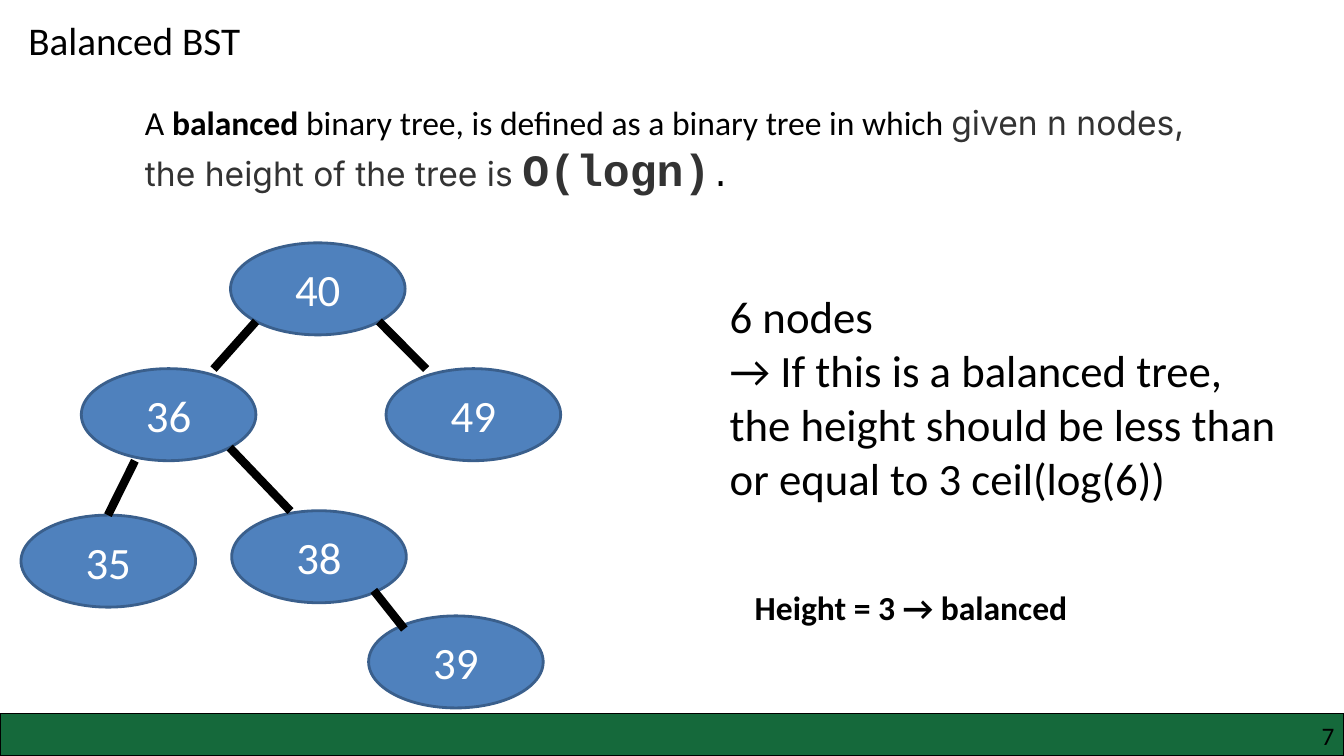
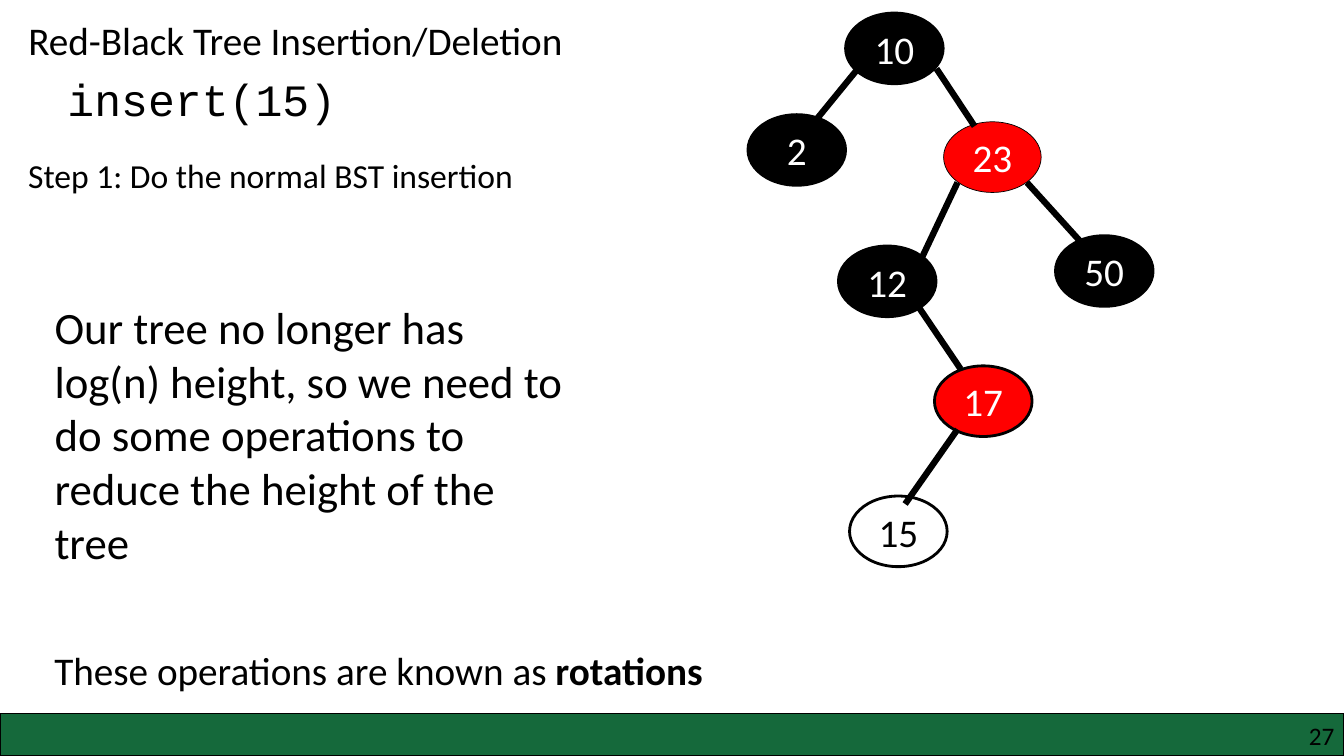
"""Build two slides on balanced and red-black search trees."""
from lxml.etree import SubElement
from pptx import Presentation
from pptx.dml.color import RGBColor
from pptx.enum.shapes import MSO_CONNECTOR as LINK, MSO_SHAPE as SHAPE
from pptx.enum.text import MSO_ANCHOR as ANCHOR, MSO_AUTO_SIZE as FIT, PP_ALIGN as ALIGN
from pptx.oxml.ns import qn
from pptx.util import Cm, Pt

BLACK = RGBColor(0, 0, 0)
WHITE = RGBColor(255, 255, 255)
RED = RGBColor(255, 0, 0)
GREEN = RGBColor(0x15, 0x69, 0x3B)
BLUE = RGBColor(0x4F, 0x81, 0xBD)
NAVY = RGBColor(0x3A, 0x5F, 0x8C)
GRAY = RGBColor(0x33, 0x33, 0x33)

WIDE, HIGH = 33.87, 19.05
BAND = 1.07
BASE = {"name": "Calibri", "size": Pt(28), "bold": False, "color": BLACK}
BIG = {"size": Pt(32)}
MID = {"size": Pt(24)}
BOLD = {"bold": True}
CODE = {"name": "Courier New", "size": Pt(32)}
SOFT = {"name": "Inter", "size": Pt(24), "color": GRAY}


def style(font, look):
    """Apply a dict of format values over the base look."""
    for key, val in {**BASE, **look}.items():
        if key == "color":
            font.color.rgb = val
        else:
            setattr(font, key, val)


def write(shape, paras, align=ALIGN.LEFT, anchor=ANCHOR.TOP):
    """Fill a shape with paragraphs, each a list of (text, look) runs."""
    frame = shape.text_frame
    frame.word_wrap = True
    frame.auto_size = FIT.NONE
    frame.vertical_anchor = anchor
    for i, runs in enumerate(paras):
        para = frame.paragraphs[0] if i == 0 else frame.add_paragraph()
        para.alignment = align
        para.space_before = Pt(0)
        for text, look in runs:
            run = para.add_run()
            run.text = text
            style(run.font, look)
    return frame


def place(shape, box):
    """Move and size a shape in centimetres."""
    for key, val in zip(("left", "top", "width", "height"), box):
        setattr(shape, key, Cm(val))


def label(slide, box, *paras, align=ALIGN.LEFT):
    """Add a text box."""
    return write(slide.shapes.add_textbox(*map(Cm, box)), paras, align)


def body(slide, box, *runs):
    """Set the body placeholder as one plain paragraph."""
    shape = slide.placeholders[1]
    place(shape, box)
    para = write(shape, [runs]).paragraphs[0]
    props = para._p.get_or_add_pPr()
    props.set("marL", "0")
    props.set("indent", "0")
    SubElement(props, qn("a:buNone"))


def form(slide, kind, box, fill, edge, width):
    """Add a filled, outlined shape without shadow."""
    shape = slide.shapes.add_shape(kind, *map(Cm, box))
    shape.shadow.inherit = False
    shape.fill.solid()
    shape.fill.fore_color.rgb = fill
    shape.line.color.rgb = edge
    shape.line.width = Pt(width)
    return shape


def page(deck, title, num):
    """Add a slide with its title, green band and number."""
    slide = deck.slides.add_slide(deck.slide_layouts[1])
    head = slide.shapes.title
    place(head, (0.46, 0.28, 16, 1.45))
    write(head, [[(title, {})]])
    form(slide, SHAPE.RECTANGLE, (0, HIGH - BAND, WIDE, BAND), GREEN, BLACK, 1)
    frame = label(slide, (25.83, 18.16, 7.8, 0.76), [(num, {"size": Pt(18)})],
                  align=ALIGN.RIGHT)
    for side in ("left", "top", "right", "bottom"):
        setattr(frame, f"margin_{side}", 0)
    return slide


def node(slide, text, spot, size, look, fill, edge=BLACK, width=2):
    """Add a tree node centred on a spot."""
    (x, y), (w, h) = spot, size
    shape = form(slide, SHAPE.OVAL, (x - w / 2, y - h / 2, w, h), fill, edge, width)
    write(shape, [[(text, look)]], ALIGN.CENTER, ANCHOR.MIDDLE)


def links(slide, ends, width):
    """Draw the branches of a tree."""
    for end in ends:
        line = slide.shapes.add_connector(LINK.STRAIGHT, *map(Cm, end))
        line.line.color.rgb = BLACK
        line.line.width = Pt(width)
        SubElement(line._element.spPr, qn("a:effectLst"))


def balance(deck):
    """Build the balanced tree slide."""
    slide = page(deck, "Balanced BST", "7")
    body(slide, (3.4, 2.44, 27.05, 2.64),
         ("A ", MID), ("balanced", {**MID, **BOLD}),
         (" binary tree, is defined as a binary tree in which ", MID),
         ("given n nodes, the height of the tree is ", SOFT),
         ("O(logn)", {**CODE, **BOLD, "color": GRAY}),
         (".", {**CODE, **MID}))
    spots = {"40": (8.01, 7.28), "36": (4.25, 10.45), "49": (11.93, 10.45),
             "35": (2.73, 14.14), "38": (8.04, 14.03), "39": (11.49, 16.68)}
    for text, spot in spots.items():
        node(slide, text, spot, (4.4, 2.32), {**BIG, "color": WHITE}, BLUE, NAVY)
    links(slide, [(6.45, 8.1, 5.38, 9.3), (9.55, 8.1, 10.74, 9.3),
                  (3.4, 11.61, 2.72, 12.98), (5.79, 11.28, 7.32, 12.88),
                  (9.42, 14.88, 10.19, 15.85)], 6)
    label(slide, (18.14, 7.16, 14.68, 5.74), [("6 nodes", BIG)],
          [("→ If this is a balanced tree, the height should be less than "
            "or equal to 3 ceil(log(6))", BIG)])
    label(slide, (18.77, 14.66, 9.5, 1.27),
          [("Height = 3 → balanced", {**MID, **BOLD})])


def insert(deck):
    """Build the red-black insertion slide."""
    slide = page(deck, "Red-Black Tree Insertion/Deletion", "27")
    body(slide, (1.12, 7.42, 13.46, 7.09),
         ("Our tree no longer has log(n) height, so we need to do some "
          "operations to reduce the height of the tree", BIG))
    nodes = [("10", (22.54, 1.22), BLACK, 2), ("23", (25.01, 3.96), RED, 0.5),
             ("50", (27.83, 6.83), BLACK, 2), ("12", (22.36, 7.09), BLACK, 2),
             ("17", (24.78, 10.11), RED, 2), ("2", (20.08, 3.78), BLACK, 2),
             ("15", (22.64, 13.39), WHITE, 2)]
    for text, spot, fill, width in nodes:
        ink = BLACK if fill == WHITE else WHITE
        node(slide, text, spot, (2.46, 1.78), {"color": ink}, fill, width=width)
    links(slide, [(21.62, 1.73, 20.42, 3.2), (23.6, 1.73, 24.56, 3.18),
                  (24.13, 4.6, 23.24, 6.48), (25.88, 4.6, 27.33, 6.2),
                  (23.14, 7.72, 24.21, 9.3), (24.13, 10.82, 22.81, 12.7)], 4.5)
    label(slide, (1.45, 1.68, 8, 1.63), [("insert(15)", CODE)])
    label(slide, (0.46, 3.78, 14, 1.27),
          [("Step 1: Do the normal BST insertion", MID)])
    label(slide, (1.12, 16.15, 18, 1.45),
          [("These operations are known as ", {}), ("rotations", BOLD)])


def main():
    """Build and save the deck."""
    deck = Presentation()
    deck.slide_width, deck.slide_height = Cm(WIDE), Cm(HIGH)
    balance(deck)
    insert(deck)
    deck.save("out.pptx")


if __name__ == "__main__":
    main()
